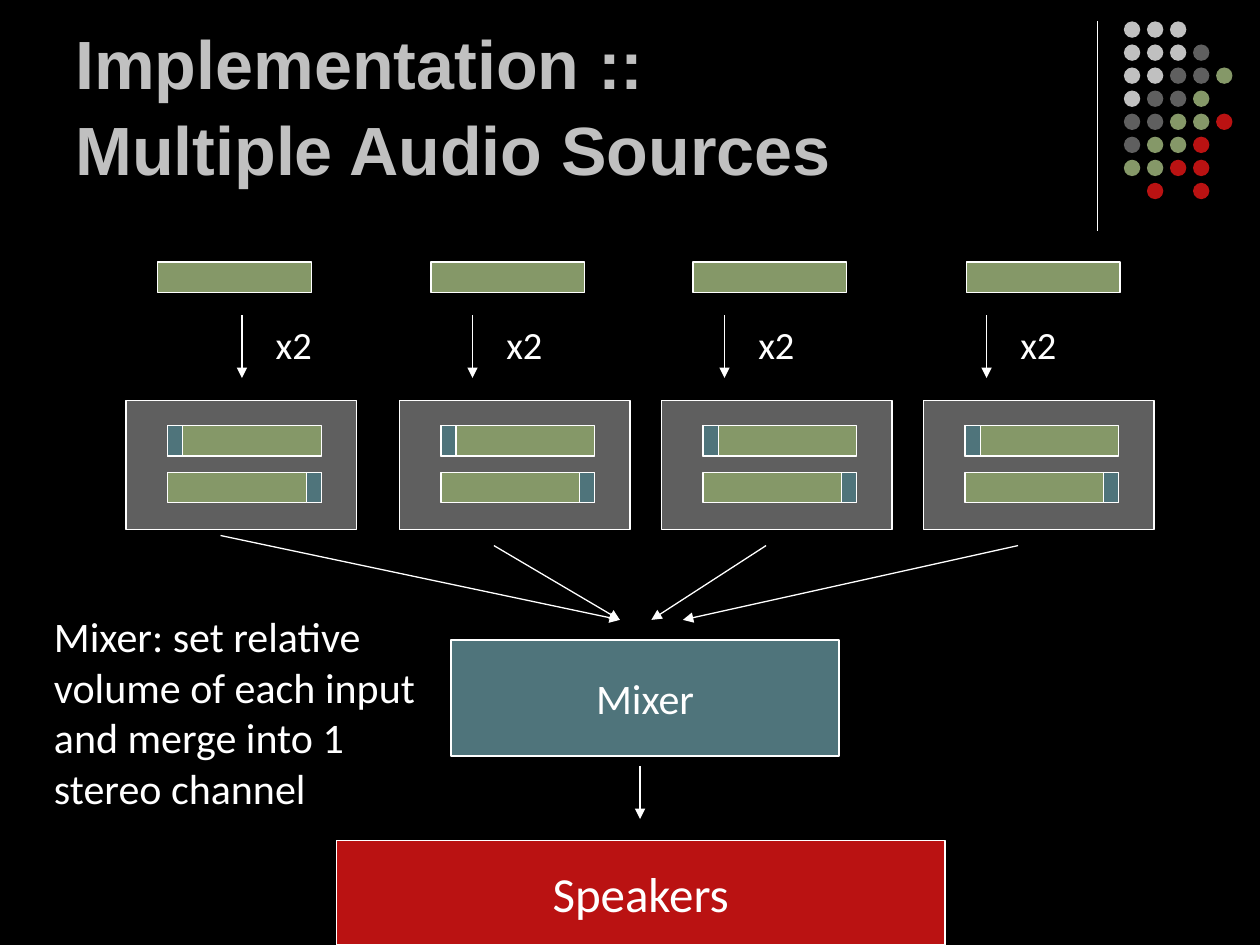
from pptx import Presentation
from pptx.dml.color import RGBColor
from pptx.enum.shapes import MSO_CONNECTOR, MSO_SHAPE
from pptx.enum.text import MSO_ANCHOR, PP_ALIGN
from pptx.oxml.ns import qn
from pptx.util import Inches, Pt
from lxml import etree

# Content (positions and sizes in inches)
TITLE = "Implementation ::\vMultiple Audio Sources"
COPY_LABEL = "x2"
NOTE = "Mixer: set relative volume of each input and merge into 1 stereo channel"
# Each channel: left of source, copy arrow x, left of stereo panel
CHANNELS = [(1.25, 1.92, 1.0), (3.42, 3.75, 3.17), (5.5, 5.75, 5.25), (7.67, 7.83, 7.33)]
STAGES = [
    ("Mixer", (3.58, 5.08, 3.08, 0.92), "teal", "body"),
    ("Speakers", (2.67, 6.67, 4.83, 0.83), "red", "speakers"),
]
FLOWS = [
    ((1.75, 4.25), (4.92, 4.92)),
    ((3.92, 4.33), (4.92, 4.92)),
    ((6.08, 4.33), (5.17, 4.92)),
    ((8.08, 4.33), (5.42, 4.92)),
    ((5.08, 6.08), (5.08, 6.5)),
]
DOT_ROWS = ["sss", "sssg", "ssggo", "sggo", "ggoor", "goor", "oorr", " r r"]
DOT_COLORS = {"s": "silver", "g": "gray", "o": "olive", "r": "red"}

THEME = {
    "colors": {"black": "000000", "white": "FFFFFF", "silver": "C0C0C0", "gray": "5F5F5F",
               "olive": "859868", "teal": "4F747B", "red": "BA1212"},
    "sizes": {"title": 39, "label": 22, "body": 24, "speakers": 28},
    "title_font": "Arial",
    "body_font": "Calibri",
    "line": 0.75,
}
BAR_W, BAR_H, CAP_W = 1.22, 0.24, 0.12
DOT, DOT_STEP = 0.13, 0.183

prs = Presentation()
prs.slide_width, prs.slide_height = Inches(10), Inches(7.5)
slide = prs.slides.add_slide(prs.slide_layouts[6])


def color(name):
    return RGBColor.from_string(THEME["colors"][name])


def add_block(box, fill, kind=MSO_SHAPE.RECTANGLE, outlined=True):
    block = slide.shapes.add_shape(kind, *map(Inches, box))
    block.shadow.inherit = False
    block.fill.solid()
    block.fill.fore_color.rgb = color(fill)
    if outlined:
        block.line.color.rgb = color("white")
        block.line.width = Pt(THEME["line"])
    else:
        block.line.fill.background()
    return block


def add_line(start, end, arrow=True):
    line = slide.shapes.add_connector(MSO_CONNECTOR.STRAIGHT, *map(Inches, start + end))
    line.line.color.rgb = color("white")
    line.line.width = Pt(THEME["line"])
    if arrow:
        etree.SubElement(line.line._get_or_add_ln(), qn("a:tailEnd"), type="triangle")
    etree.SubElement(line._element.spPr, qn("a:effectLst"))


def write(shape, text, size, font="body_font", ink="white", bold=False):
    frame = shape.text_frame
    frame.text = text
    for run in frame.paragraphs[0].runs:
        run.font.name = THEME[font]
        run.font.size = Pt(THEME["sizes"][size])
        run.font.bold = bold
        run.font.color.rgb = color(ink)
    return frame


def add_text(box, text, size, **style):
    frame = write(slide.shapes.add_textbox(*map(Inches, box)), text, size, **style)
    frame.word_wrap = True
    return frame


# Background and corner decoration
slide.background.fill.solid()
slide.background.fill.fore_color.rgb = color("black")
add_line((8.71, 0.17), (8.71, 1.83), arrow=False)
for row, dots in enumerate(DOT_ROWS):
    for column, dot in enumerate(dots):
        if dot in DOT_COLORS:
            add_block((8.92 + column * DOT_STEP, 0.17 + row * DOT_STEP, DOT, DOT),
                      DOT_COLORS[dot], MSO_SHAPE.OVAL, outlined=False)

# Title
title = add_text((0.5, 0.13, 8.25, 1.42), TITLE, "title",
                 font="title_font", ink="silver", bold=True)
title.vertical_anchor = MSO_ANCHOR.BOTTOM
title.paragraphs[0].line_spacing = 1.05

# Channels: source, copy arrow, panel with two delayed copies
for source_x, arrow_x, panel_x in CHANNELS:
    add_block((panel_x, 3.18, 1.83, 1.02), "gray")
    bar_x = panel_x + 0.33
    for bar_y, cap_x in [(3.38, bar_x), (3.75, bar_x + BAR_W - CAP_W)]:
        add_block((bar_x, bar_y, BAR_W, BAR_H), "olive")
        add_block((cap_x, bar_y, CAP_W, BAR_H), "teal")
    add_block((source_x, 2.08, BAR_W, BAR_H), "olive")
    add_line((arrow_x, 2.5), (arrow_x, 3.0))
    add_text((arrow_x + 0.17, 2.5, 0.5, 0.47), COPY_LABEL, "label")

# Mixer and speakers
for name, box, fill, size in STAGES:
    stage = write(add_block(box, fill), name, size)
    stage.word_wrap = False
    stage.vertical_anchor = MSO_ANCHOR.MIDDLE
    stage.paragraphs[0].alignment = PP_ALIGN.CENTER

# Signal flow and note
for start, end in FLOWS:
    add_line(start, end)
add_text((0.33, 4.8, 3.42, 1.7), NOTE, "body")

prs.save("out.pptx")
